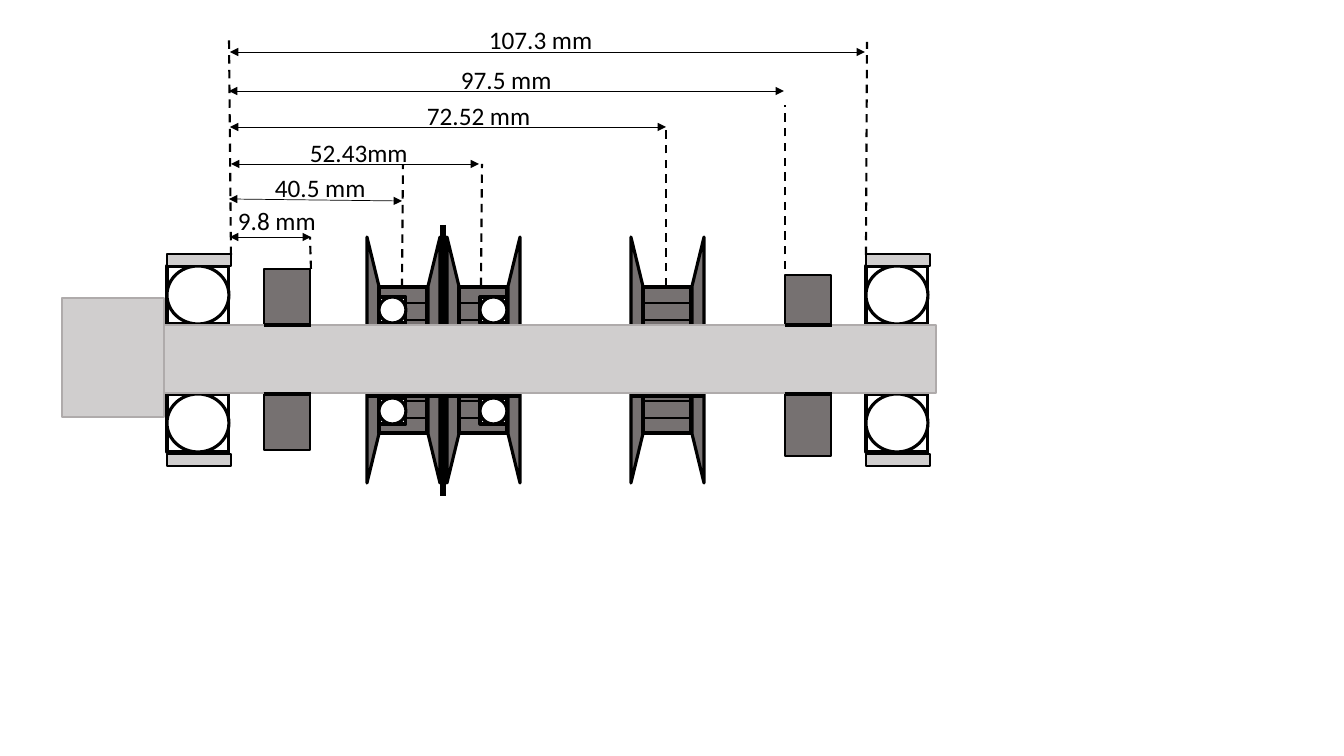
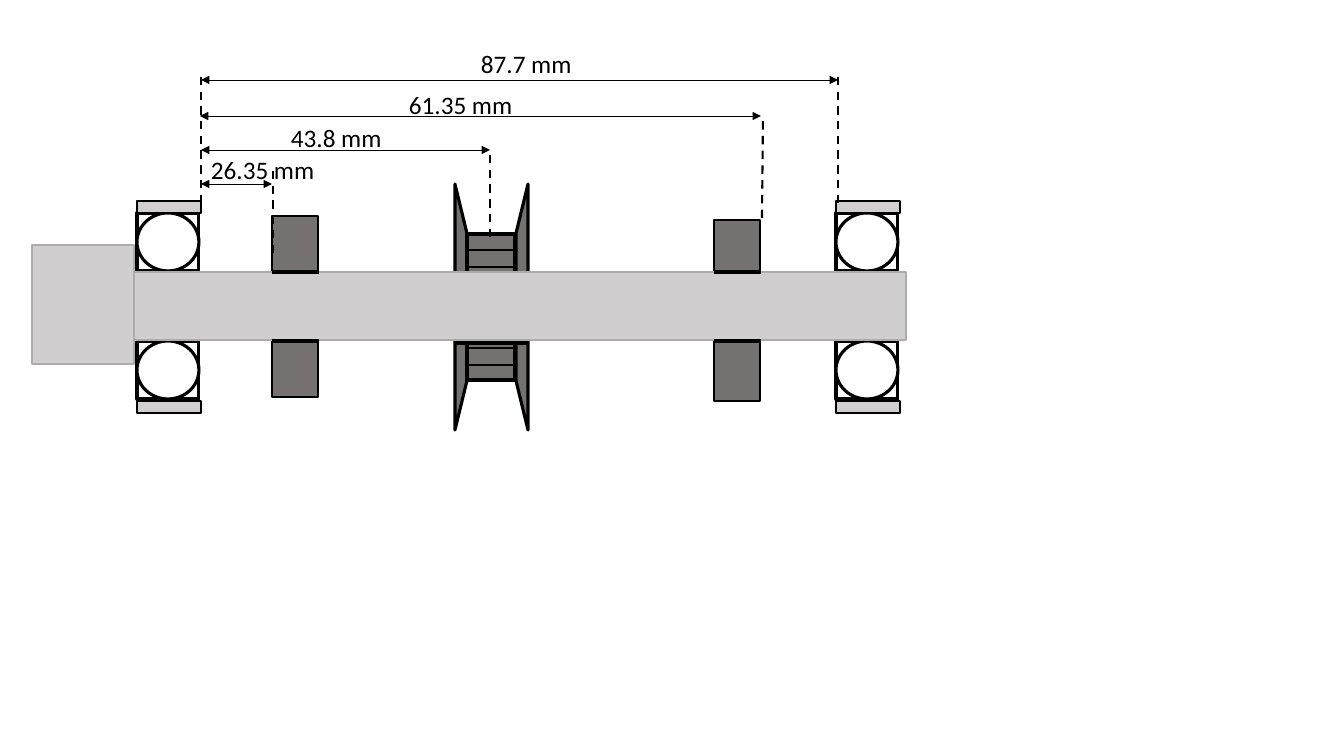
"""Build two slides with dimensioned cross-sections of a shaft assembly."""
import lxml.etree
import pptx
import pptx.dml.color
import pptx.enum.dml
import pptx.enum.shapes
import pptx.oxml.ns
import pptx.util

PIXEL = 914400 / 100.8
COLORS = {"black": "000000", "white": "FFFFFF", "steel": "D0CECE", "edge": "AFABAB", "part": "767171"}
FONT = "Calibri"
KINDS = pptx.enum.shapes.MSO_SHAPE
LABEL_WIDTH, LABEL_HEIGHT = 129, 40
BEARING_LEFTS = (167, 866)
DISC_LENGTH, DISC_WIDTH, DISC_TOP = 246, 12, 354
HUB_WIDTH, PULLEY_WIDTH = 48, 73


def add_part(slide, kind, left, top, width, height, fill, weight, line="black", rotation=0):
    """Add a filled, outlined shape measured in pixels."""
    box = [round(length * PIXEL) for length in (left, top, width, height)]
    shape = slide.shapes.add_shape(kind, *box)
    shape.shadow.inherit = False
    shape.rotation = rotation
    shape.fill.solid()
    shape.fill.fore_color.rgb = pptx.dml.color.RGBColor.from_string(COLORS[fill])
    shape.line.color.rgb = pptx.dml.color.RGBColor.from_string(COLORS[line])
    shape.line.width = pptx.util.Pt(weight)


def add_line(slide, start, end, weight, dashed=False, arrows=False):
    """Add a straight black line between two pixel points."""
    points = [round(length * PIXEL) for length in (*start, *end)]
    connector = slide.shapes.add_connector(pptx.enum.shapes.MSO_CONNECTOR.STRAIGHT, *points)
    connector.line.color.rgb = pptx.dml.color.RGBColor.from_string(COLORS["black"])
    connector.line.width = pptx.util.Pt(weight)
    if dashed:
        connector.line.dash_style = pptx.enum.dml.MSO_LINE.DASH
    if arrows:
        for tag in ("a:headEnd", "a:tailEnd"):
            arrowhead = lxml.etree.SubElement(connector.line._get_or_add_ln(), pptx.oxml.ns.qn(tag))
            arrowhead.set("type", "triangle")
    lxml.etree.SubElement(connector._element.spPr, pptx.oxml.ns.qn("a:effectLst"))


assemblies = [
    {
        "offset": (0, 0),
        "pulleys": (631, 367, 447),
        "belt_divider": True,
        "collars": ((264, 269), (785, 275)),
        "dimensions": [
            ("107.3 mm", (479, 19), (865, 52), (230, 52)),
            ("97.5 mm", (451, 59), (784, 91), (229, 91)),
            ("72.52 mm", (417, 95), (666, 127), (230, 127)),
            ("52.43mm", (300, 132), (479, 164), (231, 164)),
            ("40.5 mm", (265, 167), (402, 201), (229, 199)),
            ("9.8 mm", (228, 200), (311, 237), (230, 237)),
        ],
        "extensions": [
            ((231, 255), (229, 36)),
            ((866, 255), (867, 42)),
            ((311, 269), (310, 237)),
            ((402, 287), (403, 165)),
            ((666, 286), (666, 127)),
            ((481, 286), (482, 164)),
            ((785, 269), (785, 105)),
        ],
    },
    {
        "offset": (-30, -53),
        "pulleys": (485,),
        "belt_divider": False,
        "collars": ((302, 269), (744, 273)),
        "dimensions": [
            ("87.7 mm", (471, 43), (838, 80), (201, 80)),
            ("61.35 mm", (399, 84), (761, 116), (200, 116)),
            ("43.8 mm", (281, 117), (490, 150), (201, 150)),
            ("26.35 mm", (201, 149), (272, 184), (201, 184)),
        ],
        "extensions": [
            ((201, 203), (201, 75)),
            ((838, 203), (838, 75)),
            ((490, 237), (490, 150)),
            ((273, 253), (273, 166)),
            ((762, 218), (763, 116)),
        ],
    },
]

presentation = pptx.Presentation()
presentation.slide_width = round(1344 * PIXEL)
presentation.slide_height = round(756 * PIXEL)

for assembly in assemblies:
    slide = presentation.slides.add_slide(presentation.slide_layouts[6])
    dx, dy = assembly["offset"]

    for left in BEARING_LEFTS:
        for top in (266, 394):
            for kind in (KINDS.RECTANGLE, KINDS.OVAL):
                add_part(slide, kind, left + dx, top + dy, 62, 58, "white", 2.25)
        for top in (254, 454):
            add_part(slide, KINDS.RECTANGLE, left + dx, top + dy, 64, 12, "steel", 1)

    for pulley_left in assembly["pulleys"]:
        left = pulley_left + dx
        hub_left = left + DISC_WIDTH
        for center, rotation in ((left + PULLEY_WIDTH - 6, 90), (left + 6, 270)):
            add_part(slide, KINDS.FLOWCHART_MANUAL_OPERATION, center - DISC_LENGTH / 2, DISC_TOP + dy,
                     DISC_LENGTH, DISC_WIDTH, "part", 2.25, rotation=rotation)
        add_part(slide, KINDS.RECTANGLE, hub_left, 287 + dy, HUB_WIDTH, 146, "part", 2.25)
        for shift, y in ((0, 303), (2, 320), (0, 401), (0, 418)):
            add_line(slide, (hub_left + shift, y + dy), (hub_left + shift + HUB_WIDTH, y + dy), 1.5)
        for y in (326, 396):
            add_line(slide, (left, y + dy), (left + PULLEY_WIDTH, y + dy), 2.25)

    if assembly["belt_divider"]:
        add_line(slide, (443, 225), (443, 496), 4.5)
        for left in (379, 480):
            for top in (297, 398):
                for kind in (KINDS.RECTANGLE, KINDS.OVAL):
                    add_part(slide, kind, left, top, 27, 26, "white", 2.25)

    for left, top in assembly["collars"]:
        add_part(slide, KINDS.RECTANGLE, left + dx, top + dy, 46, 181, "part", 1)
    for left, top, width, height in ((107, 325, 829, 68), (62, 298, 102, 119)):
        add_part(slide, KINDS.RECTANGLE, left + dx, top + dy, width, height, "steel", 1, "edge")
    for left, top in assembly["collars"]:
        for y in (325, 394):
            add_line(slide, (left + dx, y + dy), (left + dx + 47, y + dy), 2.25)

    for start, end in assembly["extensions"]:
        add_line(slide, start, end, 1.5, dashed=True)
    for label, corner, start, end in assembly["dimensions"]:
        add_line(slide, start, end, 0.5, arrows=True)
        box = [round(length * PIXEL) for length in (*corner, LABEL_WIDTH, LABEL_HEIGHT)]
        text_box = slide.shapes.add_textbox(*box)
        text_box.text_frame.word_wrap = True
        text_box.text_frame.text = label
        font = text_box.text_frame.paragraphs[0].runs[0].font
        font.name = FONT
        font.size = pptx.util.Pt(18)
        font.color.rgb = pptx.dml.color.RGBColor.from_string(COLORS["black"])

presentation.save("out.pptx")
